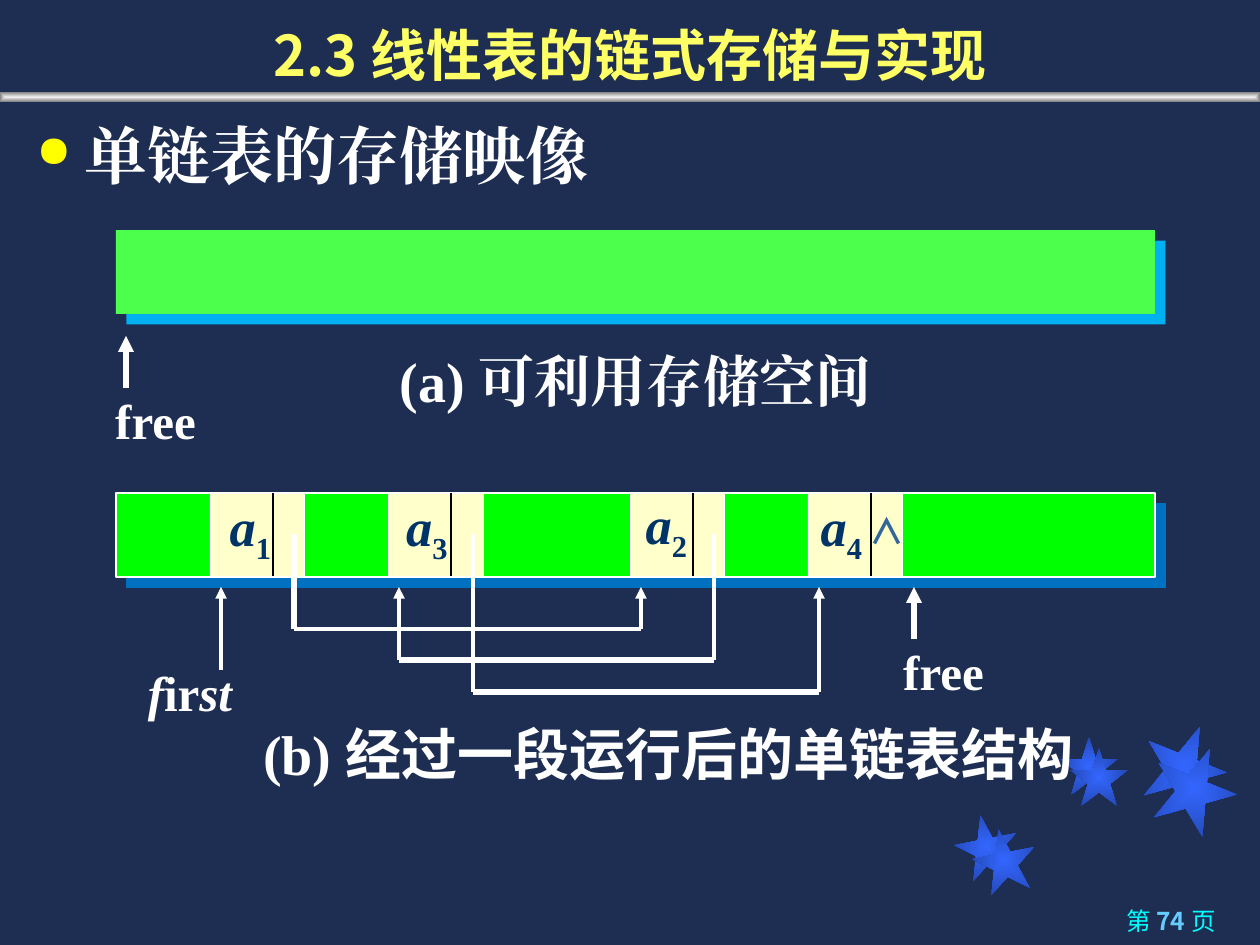
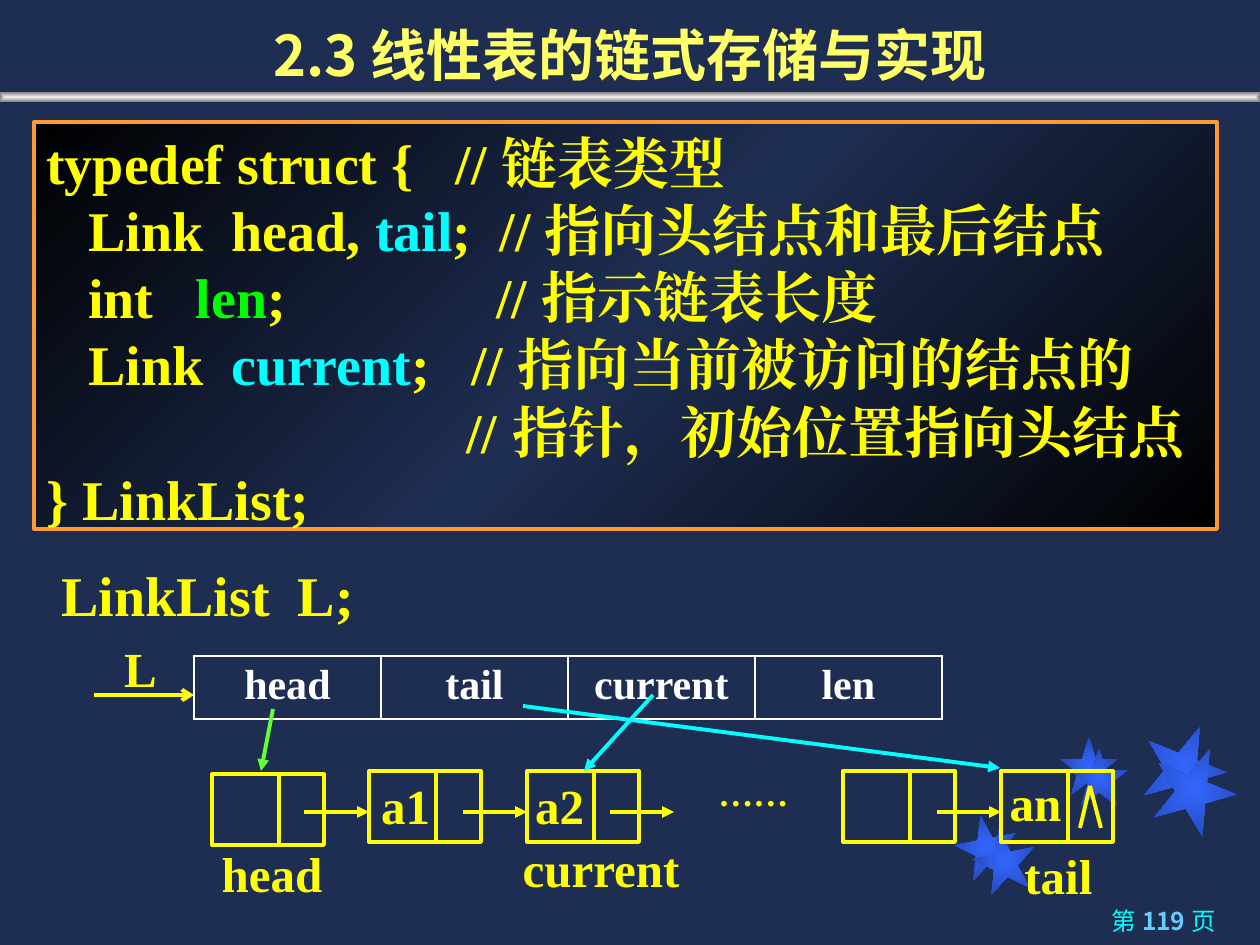
from lxml import etree
from pptx import Presentation
from pptx.dml.color import RGBColor
from pptx.enum import shapes, text
from pptx.oxml import parse_xml
from pptx.oxml.ns import nsdecls, qn
from pptx.util import Emu, Pt

PX = 914400 / 126

NAVY = RGBColor(0x1E, 0x2E, 0x53)
STAR_IN, STAR_OUT = RGBColor(0x33, 0x66, 0xFF), RGBColor(0x24, 0x49, 0xB6)
BAND_IN, BAND_OUT = RGBColor(0xED, 0xED, 0xED), RGBColor(0x80, 0x80, 0x80)
TITLE_YELLOW = RGBColor(0xFF, 0xFF, 0x66)
YELLOW = RGBColor(0xFF, 0xFF, 0x00)
WHITE = RGBColor(0xFF, 0xFF, 0xFF)
BLACK = RGBColor(0, 0, 0)
CYAN = RGBColor(0x00, 0xFF, 0xFF)
PAGE_BLUE = RGBColor(0x66, 0xCC, 0xFF)
GREEN = RGBColor(0x00, 0xFF, 0x00)
PALE_GREEN = RGBColor(0x4D, 0xFF, 0x4D)
HEAD_GREEN = RGBColor(0x66, 0xFF, 0x33)
CREAM = RGBColor(0xFF, 0xFF, 0xCC)
INK = RGBColor(0x00, 0x33, 0x66)
STEEL = RGBColor(0x33, 0x66, 0x99)
ORANGE = RGBColor(0xFF, 0x99, 0x33)
SKY_SHADE = RGBColor(0x00, 0xB0, 0xF0)
BLUE_SHADE = RGBColor(0x00, 0x70, 0xC0)

SERIF = "Times New Roman"
SANS = "Noto Sans CJK SC"
RECT = shapes.MSO_SHAPE.RECTANGLE
STAR = shapes.MSO_SHAPE.STAR_5_POINT
LEFT, CENTER, RIGHT = text.PP_ALIGN.LEFT, text.PP_ALIGN.CENTER, text.PP_ALIGN.RIGHT

# left, top, size, rotation
STARS = [(955, 815, 63, 349), (1060, 737, 58, 0), (1142, 724, 84, 22),
         (973, 829, 63, 349), (1070, 748, 58, 0), (1152, 746, 84, 22)]


def px(*lengths):
    return [Emu(round(n * PX)) for n in lengths]


# ---- Text ----
def style_run(run, size, color, font=SERIF, bold=True, italic=False, base=0):
    run.font.name = font
    run.font.size = Pt(size)
    run.font.bold = bold
    run.font.italic = italic
    run.font.color.rgb = color
    r_pr = run._r.get_or_add_rPr()
    etree.SubElement(r_pr, qn("a:ea")).set("typeface", font)
    if base:
        r_pr.set("baseline", str(base * 1000))


def fill_paragraph(paragraph, parts, **style):
    """Each part is a string, or a string with its own style changes."""
    for part in parts:
        words, changes = (part, {}) if isinstance(part, str) else part
        run = paragraph.add_run()
        run.text = words
        style_run(run, **{**style, **changes})


def add_label(slide, box, *parts, align=CENTER, wrap=False,
              anchor=text.MSO_ANCHOR.TOP, **style):
    frame = slide.shapes.add_textbox(*px(*box)).text_frame
    frame.word_wrap = wrap
    frame.vertical_anchor = anchor
    paragraph = frame.paragraphs[0]
    paragraph.alignment = align
    fill_paragraph(paragraph, parts, **style)
    return paragraph


def add_bullet(paragraph):
    p_pr = paragraph._p.get_or_add_pPr()
    indent = px(48)[0]
    p_pr.set("marL", str(indent))
    p_pr.set("indent", str(-indent))
    for xml in (f'<a:buClr {nsdecls("a")}><a:srgbClr val="{YELLOW}"/></a:buClr>',
                f'<a:buSzPct {nsdecls("a")} val="70000"/>',
                f'<a:buChar {nsdecls("a")} char="●"/>'):
        p_pr.append(parse_xml(xml))


# ---- Shapes and lines ----
def add_block(slide, box, fill=None, line=None, width=0.75, kind=RECT):
    block = slide.shapes.add_shape(kind, *px(*box))
    block.shadow.inherit = False
    if fill is None:
        block.fill.background()
    else:
        block.fill.solid()
        block.fill.fore_color.rgb = fill
    if line is None:
        block.line.fill.background()
    else:
        block.line.color.rgb = line
        block.line.width = Pt(width)
    return block


def set_gradient(block, colors, direction):
    last = len(colors) - 1
    stops = "".join(f'<a:gs pos="{100000 * i // last}"><a:srgbClr val="{c}"/></a:gs>'
                    for i, c in enumerate(colors))
    gradient = parse_xml(f'<a:gradFill {nsdecls("a")} rotWithShape="1">'
                         f'<a:gsLst>{stops}</a:gsLst>{direction}</a:gradFill>')
    old = block._element.spPr.find(qn("a:solidFill"))
    old.getparent().replace(old, gradient)


def set_center_gradient(block, inner, outer):
    set_gradient(block, [inner, outer],
                 '<a:path path="shape"><a:fillToRect l="50000" t="50000" '
                 'r="50000" b="50000"/></a:path>')


def set_hard_shadow(block, color):
    effects = block._element.spPr.find(qn("a:effectLst"))
    effects.append(parse_xml(
        f'<a:outerShdw {nsdecls("a")} blurRad="0" dist="{Pt(8.5)}" dir="2700000" '
        f'algn="ctr" rotWithShape="0"><a:srgbClr val="{color}"/></a:outerShdw>'))


def add_line(slide, start, end, color, width=2.25, head=None):
    line = slide.shapes.add_connector(shapes.MSO_CONNECTOR.STRAIGHT,
                                      *px(*start, *end))
    line.line.color.rgb = color
    line.line.width = Pt(width)
    if head:
        etree.SubElement(line.line._get_or_add_ln(), qn("a:tailEnd")).set("type", head)
    etree.SubElement(line._element.spPr, qn("a:effectLst"))


# ---- Shared slide frame ----
def add_frame(deck, page):
    slide = deck.slides.add_slide(deck.slide_layouts[6])
    slide.background.fill.solid()
    slide.background.fill.fore_color.rgb = NAVY
    for left, top, size, turn in STARS:
        star = add_block(slide, (left, top, size, size), STAR_IN, kind=STAR)
        star.rotation = turn
        set_center_gradient(star, STAR_IN, STAR_OUT)
    band = add_block(slide, (0, 92, 1260, 10), BAND_IN)
    set_center_gradient(band, BAND_IN, BAND_OUT)
    add_label(slide, (897, 900, 331, 45), "第 ",
              (f"{page} ", {"color": PAGE_BLUE, "bold": True}), "页",
              align=RIGHT, wrap=True, size=14, color=CYAN, font=SANS, bold=False)
    add_label(slide, (0, 0, 1260, 94), "2.3 线性表的链式存储与实现", wrap=True,
              anchor=text.MSO_ANCHOR.BOTTOM, size=32, color=TITLE_YELLOW, font=SANS)
    return slide


# ---- Slide: storage image of the list ----
def add_memory(slide, top, fill, shade, line=None):
    memory = add_block(slide, (116, top, 1039, 84), fill, line)
    set_hard_shadow(memory, shade)


def add_link(slide, start_x, end_x, level, down_width, across_width):
    add_line(slide, (start_x, 534), (start_x, level), WHITE, down_width)
    add_line(slide, (start_x, level), (end_x, level), WHITE, across_width)
    add_line(slide, (end_x, level), (end_x, 587), WHITE, head="triangle")


def build_storage_slide(deck):
    slide = add_frame(deck, 74)
    heading = add_label(slide, (24, 110, 1215, 91), align=LEFT, wrap=True,
                        size=36, color=WHITE)
    add_bullet(heading)
    fill_paragraph(heading, ["单链表的存储映像"], size=36, color=WHITE)

    # Free space
    add_memory(slide, 230, PALE_GREEN, SKY_SHADE)
    add_line(slide, (126, 388), (126, 336), WHITE, 3, "triangle")
    add_label(slide, (102, 384, 107, 72), "free", size=28, color=WHITE)
    add_label(slide, (362, 340, 547, 79), "(a) 可利用存储空间", size=32, color=WHITE)

    # Linked nodes in memory: left edge, index, label box
    add_memory(slide, 493, GREEN, BLUE_SHADE, WHITE)
    for left, index, label in [(210, "1", (207, 488, 87, 76)),
                               (388, "3", (388, 488, 78, 76)),
                               (630, "2", (630, 486, 73, 76)),
                               (808, "4", (805, 488, 73, 76))]:
        add_block(slide, (left, 493, 95, 84), CREAM, WHITE, 0.5)
        add_line(slide, (left + 63, 493), (left + 63, 576), BLACK, 0.75)
        add_label(slide, label, ("a", {"italic": True}), (index, {"base": -25}),
                  size=30, color=INK)
    add_label(slide, (857, 503, 60, 54), "∧", size=20, color=STEEL, font=SANS)

    # Pointers
    add_line(slide, (221, 670), (221, 587), WHITE, head="triangle")
    add_line(slide, (914, 639), (914, 587), WHITE, 3, "triangle")
    add_link(slide, 294, 641, 629, 3, 2.25)
    add_link(slide, 714, 399, 660, 2.25, 3)
    add_link(slide, 473, 819, 692, 2.25, 3)
    add_label(slide, (890, 635, 107, 72), "free", size=28, color=WHITE)
    add_label(slide, (135, 656, 110, 72), "f", ("ir", {"italic": False}), "st",
              size=28, color=WHITE, italic=True)
    add_label(slide, (221, 713, 896, 79), "(b) ",
              ("经过一段运行后的单链表结构", {"font": SANS}), size=32, color=WHITE)


# ---- Slide: list type ----
def add_code(slide):
    cyan, green = {"color": CYAN}, {"color": GREEN}
    lines = [["typedef struct {   // 链表类型"],
             ["   Link  head, ", ("tail", cyan), ";  // 指向头结点和最后结点"],
             ["   int   ", ("len", green), ";               // 指示链表长度"],
             ["   Link  ", ("current", cyan), ";   // 指向当前被访问的结点的"],
             ["                              // 指针，初始位置指向头结点"],
             ["} LinkList;"]]
    panel = add_block(slide, (34, 122, 1183, 407), NAVY, ORANGE, 2.25)
    set_gradient(panel, [BLACK, NAVY, BLACK], '<a:lin ang="2700000" scaled="0"/>')
    frame = panel.text_frame
    frame.word_wrap = True
    frame.vertical_anchor = text.MSO_ANCHOR.TOP
    for i, parts in enumerate(lines):
        paragraph = frame.add_paragraph() if i else frame.paragraphs[0]
        paragraph.alignment = LEFT
        fill_paragraph(paragraph, parts, size=32, color=YELLOW)


def add_cell_borders(cell):
    for side in ("lnL", "lnR", "lnT", "lnB"):
        cell._tc.get_or_add_tcPr().append(parse_xml(
            f'<a:{side} {nsdecls("a")} w="{Pt(1)}"><a:solidFill>'
            f'<a:srgbClr val="{WHITE}"/></a:solidFill></a:{side}>'))


def add_fields(slide, names):
    fields = slide.shapes.add_table(1, len(names), *px(194, 656, 748, 62)).table
    fields.first_row = fields.horz_banding = False
    for cell, name in zip(fields.rows[0].cells, names):
        add_cell_borders(cell)
        cell.fill.background()
        paragraph = cell.text_frame.paragraphs[0]
        paragraph.alignment = CENTER
        fill_paragraph(paragraph, [name], size=24, color=WHITE)


def build_type_slide(deck):
    slide = add_frame(deck, 119)
    add_code(slide)

    # Variable and its fields
    add_fields(slide, ["head", "tail", "current", "len"])
    add_line(slide, (94, 695), (194, 695), YELLOW, head="arrow")
    add_label(slide, (49, 554, 398, 81), "LinkList  L;", align=LEFT, wrap=True,
              size=32, color=YELLOW)

    # Node chain
    for left, top in [(212, 774), (369, 771), (527, 771), (843, 771), (1001, 771)]:
        add_block(slide, (left, top, 112, 71), line=YELLOW, width=2.25)
        add_line(slide, (left + 67, top), (left + 67, top + 71), YELLOW)
    for start, end in [(304, 369), (463, 527), (610, 674), (937, 1001)]:
        add_line(slide, (start, 812), (end, 812), YELLOW, head="triangle")
    for foot in (1080, 1101):
        add_line(slide, (1090, 786), (foot, 828), YELLOW)

    for box, name in [((106, 632, 69, 72), "L"),
                      ((195, 837, 154, 72), "head"),
                      ((1002, 839, 113, 72), "tail"),
                      ((495, 832, 212, 72), "current"),
                      ((364, 769, 83, 72), "a1"),
                      ((518, 769, 83, 72), "a2"),
                      ((988, 766, 95, 72), "an")]:
        add_label(slide, box, name, size=28, color=YELLOW)
    add_label(slide, (685, 765, 137, 74), "……", size=20, color=YELLOW)

    # Pointers from fields to nodes
    for start, end, color in [((653, 695), (584, 771), CYAN),
                              ((523, 706), (1000, 768), CYAN),
                              ((273, 709), (261, 771), HEAD_GREEN)]:
        add_line(slide, start, end, color, head="triangle")


def main():
    deck = Presentation()
    deck.slide_width, deck.slide_height = px(1260, 945)
    build_storage_slide(deck)
    build_type_slide(deck)
    deck.save("out.pptx")


if __name__ == "__main__":
    main()
